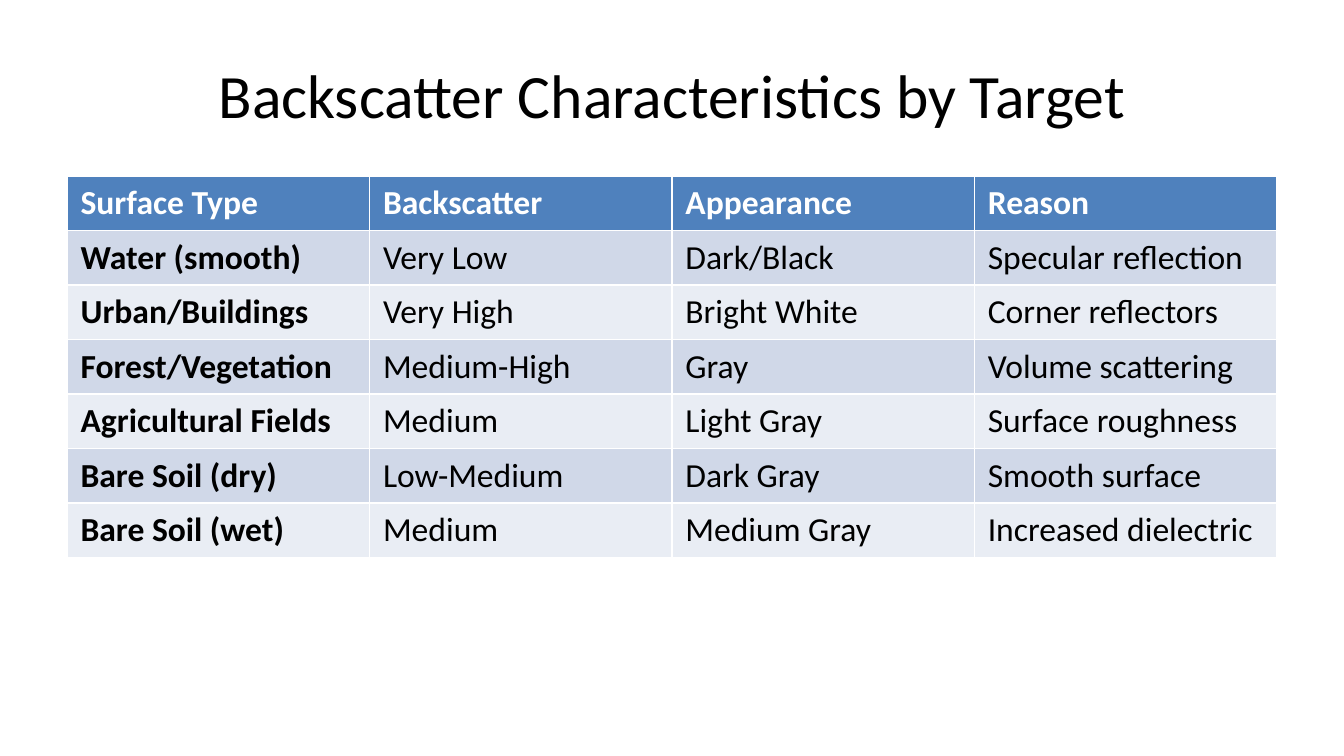
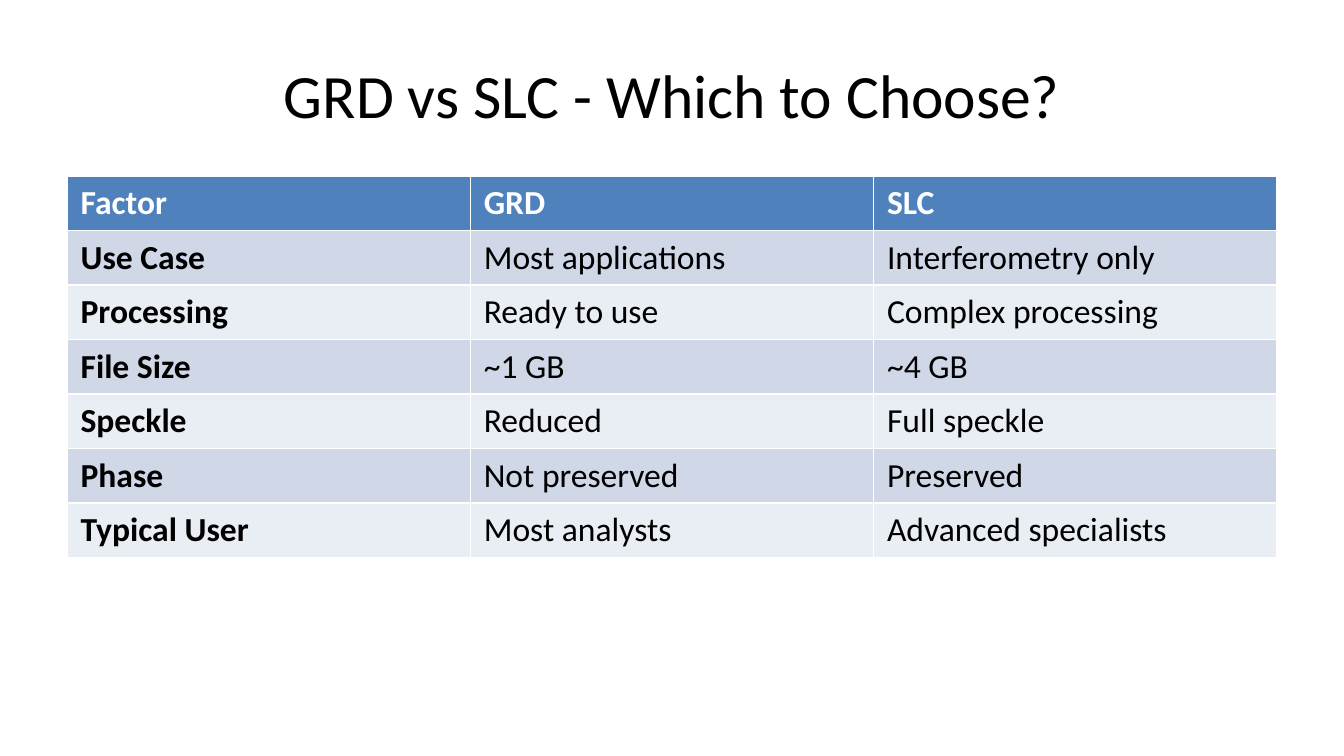
from pptx import Presentation
from pptx.dml.color import RGBColor
from pptx.enum.text import MSO_ANCHOR, PP_ALIGN
from pptx.util import Inches, Pt

SLIDES = [
    ("Backscatter Characteristics by Target", [
        ("Surface Type", "Backscatter", "Appearance", "Reason"),
        ("Water (smooth)", "Very Low", "Dark/Black", "Specular reflection"),
        ("Urban/Buildings", "Very High", "Bright White", "Corner reflectors"),
        ("Forest/Vegetation", "Medium-High", "Gray", "Volume scattering"),
        ("Agricultural Fields", "Medium", "Light Gray", "Surface roughness"),
        ("Bare Soil (dry)", "Low-Medium", "Dark Gray", "Smooth surface"),
        ("Bare Soil (wet)", "Medium", "Medium Gray", "Increased dielectric"),
    ]),
    ("GRD vs SLC - Which to Choose?", [
        ("Factor", "GRD", "SLC"),
        ("Use Case", "Most applications", "Interferometry only"),
        ("Processing", "Ready to use", "Complex processing"),
        ("File Size", "~1 GB", "~4 GB"),
        ("Speckle", "Reduced", "Full speckle"),
        ("Phase", "Not preserved", "Preserved"),
        ("Typical User", "Most analysts", "Advanced specialists"),
    ]),
]

THEME = {
    "font": "Calibri",
    "title": Pt(33),
    "body": Pt(18),
    "ink": RGBColor.from_string("000000"),
    "light": RGBColor.from_string("FFFFFF"),
    "head": RGBColor.from_string("4F81BD"),
    "bands": [RGBColor.from_string(c) for c in ("D0D8E8", "E9EDF4")],
}
# Widescreen page, 16:9
PAGE = {"slide_width": Inches(10), "slide_height": Inches(10) * 9 // 16}
LEFT, WIDTH = Inches(0.5), Inches(9)
TITLE_BOX = {"left": LEFT, "top": Inches(0.23), "width": WIDTH, "height": Inches(0.94)}
TABLE_TOP, ROW = Inches(1.31), Inches(0.4)


def apply(item, values):
    for name, value in values.items():
        setattr(item, name, value)


def write(frame, text, size, color, bold=False):
    frame.text = text
    font = frame.paragraphs[0].font
    apply(font, {"name": THEME["font"], "size": size, "bold": bold})
    font.color.rgb = color


def add_title(slide, text):
    title = slide.shapes.title
    apply(title, TITLE_BOX)
    frame = title.text_frame
    write(frame, text, THEME["title"], THEME["ink"])
    frame.vertical_anchor = MSO_ANCHOR.MIDDLE
    frame.paragraphs[0].alignment = PP_ALIGN.CENTER


def add_grid(slide, rows):
    """Add a table with equal columns, a header row and banded body rows."""
    size = len(rows), len(rows[0])
    table = slide.shapes.add_table(
        *size, LEFT, TABLE_TOP, WIDTH, ROW * len(rows)).table
    table.first_col = True
    for r, row in enumerate(rows):
        head = r == 0
        fill = THEME["head"] if head else THEME["bands"][(r - 1) % 2]
        color = THEME["light"] if head else THEME["ink"]
        for c, text in enumerate(row):
            cell = table.cell(r, c)
            cell.fill.solid()
            cell.fill.fore_color.rgb = fill
            write(cell.text_frame, text, THEME["body"], color, head or c == 0)


def main():
    deck = Presentation()
    apply(deck, PAGE)
    layout = deck.slide_layouts.get_by_name("Title Only")
    for title, rows in SLIDES:
        slide = deck.slides.add_slide(layout)
        add_title(slide, title)
        add_grid(slide, rows)
    deck.save("out.pptx")


if __name__ == "__main__":
    main()
